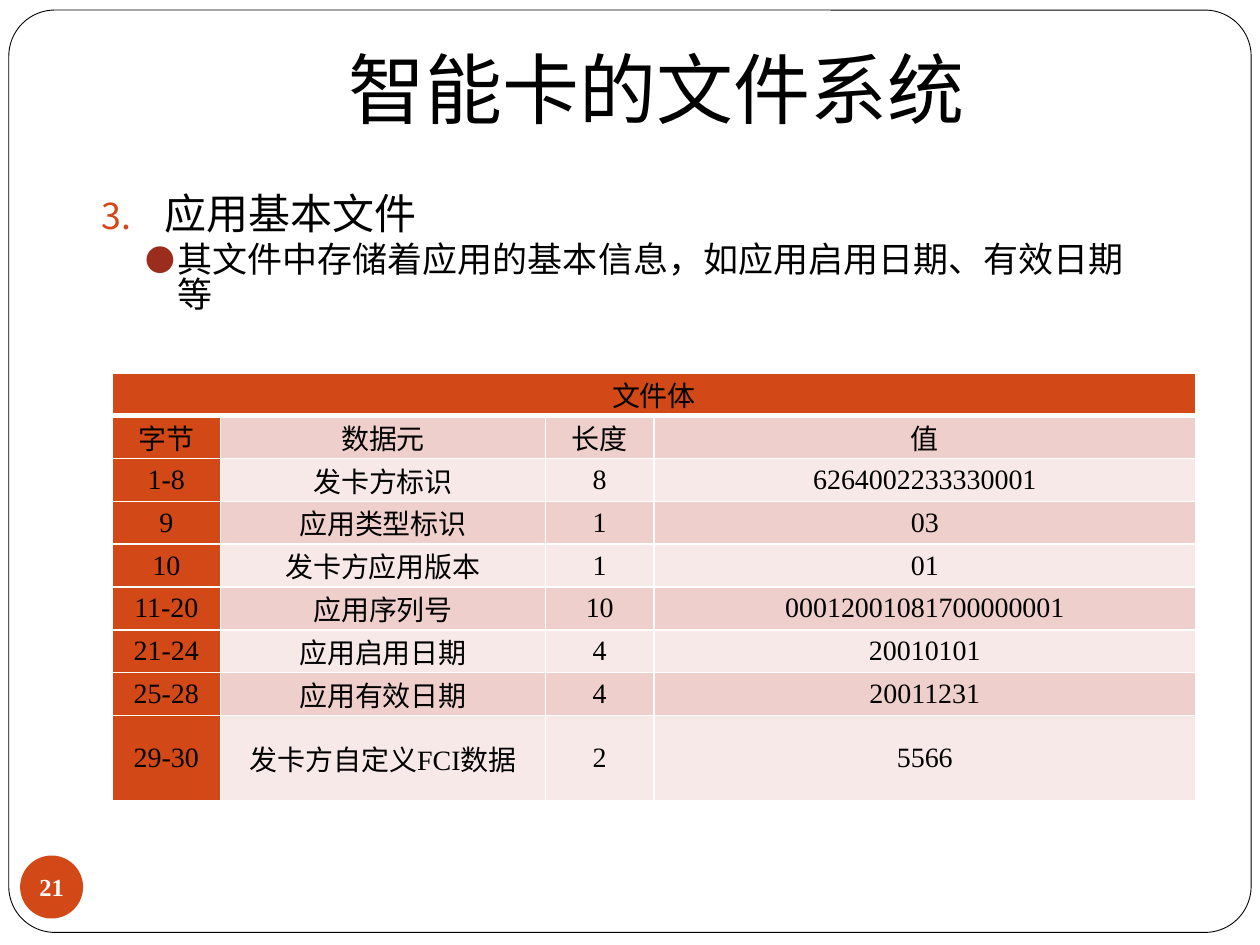
from lxml.etree import SubElement
from pptx import Presentation
from pptx.dml.color import RGBColor
from pptx.enum.shapes import MSO_SHAPE
from pptx.enum.text import MSO_ANCHOR, MSO_AUTO_SIZE, PP_ALIGN
from pptx.oxml.ns import qn
from pptx.util import Inches, Pt

SANS = "Noto Sans CJK SC"
SERIF = "Times New Roman"
ORANGE, RED, WHITE, BLACK = "D34817", "9B2D1F", "FFFFFF", "000000"
BANDS = ["EFCFCC", "F7E9E8"]
COLUMN_WIDTHS = [0.86, 2.58, 0.86, 4.3]
ROW_HEIGHTS = [0.34] * 8 + [0.68]
FILE_BODY = [
    ["文件体", "", "", ""],
    ["字节", "数据元", "长度", "值"],
    ["1-8", "发卡方标识", "8", "6264002233330001"],
    ["9", "应用类型标识", "1", "03"],
    ["10", "发卡方应用版本", "1", "01"],
    ["11-20", "应用序列号", "10", "00012001081700000001"],
    ["21-24", "应用启用日期", "4", "20010101"],
    ["25-28", "应用有效日期", "4", "20011231"],
    ["29-30", "发卡方自定义FCI数据", "2", "5566"],
]


def color(value):
    return RGBColor.from_string(value)


def fill(target, value):
    target.fill.solid()
    target.fill.fore_color.rgb = color(value)


def apply(target, formats):
    for name, value in formats.items():
        setattr(target, name, value)


def box(left, top, width, height):
    return [Inches(length) for length in (left, top, width, height)]


def write(paragraph, text, size, font=SANS, ink=BLACK, bold=False, **formats):
    apply(paragraph, formats)
    run = paragraph.add_run()
    run.text = text
    apply(run.font, {"size": Pt(size), "name": font, "bold": bold})
    run.font.color.rgb = color(ink)
    SubElement(run.font._element, qn("a:ea"), typeface=SANS)


def add_panel(slide, preset, place, background):
    panel = slide.shapes.add_shape(preset, *box(*place))
    panel.shadow.inherit = False
    fill(panel, background)
    return panel


def add_frame(slide):
    frame = add_panel(slide, MSO_SHAPE.ROUNDED_RECTANGLE, (0.07, 0.08, 9.86, 7.32), WHITE)
    frame.adjustments[0] = 0.05
    frame.line.color.rgb = color(BLACK)
    frame.line.width = Pt(0.5)


def add_page_number(slide):
    badge = add_panel(slide, MSO_SHAPE.OVAL, (0.16, 6.79, 0.5, 0.5), ORANGE)
    badge.line.fill.background()
    apply(badge.text_frame, {
        "margin_left": 0, "margin_right": 0, "margin_top": 0, "margin_bottom": 0,
        "word_wrap": False, "vertical_anchor": MSO_ANCHOR.MIDDLE,
    })
    write(badge.text_frame.paragraphs[0], "21", 14, SERIF, WHITE, True,
          alignment=PP_ALIGN.CENTER)


def add_text(slide, place, **formats):
    text = slide.shapes.add_textbox(*box(*place)).text_frame
    apply(text, {"word_wrap": True, **formats})
    return text


def add_bullet(paragraph, margin, indent, ink, kind, **marker):
    properties = paragraph._p.get_or_add_pPr()
    properties.set("marL", str(Inches(margin)))
    properties.set("indent", str(Inches(indent)))
    bullet_color = SubElement(properties, qn("a:buClr"))
    SubElement(bullet_color, qn("a:srgbClr"), val=ink)
    SubElement(properties, qn("a:buSzPct"), val="85000")
    SubElement(properties, qn("a:buFont"), typeface=SANS)
    SubElement(properties, qn(kind), **marker)


def add_outline(slide):
    outline = add_text(slide, (0.71, 1.51, 8.5, 5))
    heading = outline.paragraphs[0]
    write(heading, "应用基本文件", 24, space_before=Pt(5.8), line_spacing=0.83)
    add_bullet(heading, 0.5, -0.5, ORANGE, "a:buAutoNum", type="arabicPeriod", startAt="3")
    detail = outline.add_paragraph()
    write(detail, "其文件中存储着应用的基本信息，如应用启用日期、有效日期等", 20,
          level=1, space_before=Pt(3.8), line_spacing=0.83)
    add_bullet(detail, 0.6, -0.25, RED, "a:buChar", char="●")


def add_borders(cell, widths):
    properties = cell._tc.get_or_add_tcPr()
    for side, width in widths.items():
        border = SubElement(properties, qn(f"a:ln{side}"), w=str(Pt(width)))
        SubElement(SubElement(border, qn("a:solidFill")), qn("a:srgbClr"), val=WHITE)


def add_file_table(slide):
    place = box(0.89, 2.96, sum(COLUMN_WIDTHS), sum(ROW_HEIGHTS))
    table = slide.shapes.add_table(len(ROW_HEIGHTS), len(COLUMN_WIDTHS), *place).table
    for column, width in zip(table.columns, COLUMN_WIDTHS):
        column.width = Inches(width)
    for row, height in zip(table.rows, ROW_HEIGHTS):
        row.height = Inches(height)
    table.cell(0, 0).merge(table.cell(0, len(COLUMN_WIDTHS) - 1))
    for r, values in enumerate(FILE_BODY):
        for c, value in enumerate(values):
            cell = table.cell(r, c)
            apply(cell, {
                "margin_left": Inches(0.07), "margin_right": Inches(0.07),
                "margin_top": 0, "margin_bottom": 0,
                "vertical_anchor": MSO_ANCHOR.MIDDLE,
            })
            add_borders(cell, {"L": 1, "R": 1, "T": 3 if r == 1 else 1, "B": 3 if r == 0 else 1})
            fill(cell, ORANGE if r == 0 or c == 0 else BANDS[(r - 1) % 2])
            if value:
                write(cell.text_frame.paragraphs[0], value, 16, SERIF,
                      alignment=PP_ALIGN.CENTER)


def main():
    deck = Presentation()
    deck.slide_width, deck.slide_height = Inches(10), Inches(7.5)
    slide = deck.slides.add_slide(deck.slide_layouts[6])
    add_frame(slide)
    add_page_number(slide)
    title = add_text(slide, (1.46, 0.28, 7.51, 0.84), vertical_anchor=MSO_ANCHOR.MIDDLE,
                     auto_size=MSO_AUTO_SIZE.SHAPE_TO_FIT_TEXT)
    write(title.paragraphs[0], "智能卡的文件系统", 44, alignment=PP_ALIGN.CENTER)
    add_outline(slide)
    add_file_table(slide)
    deck.save("out.pptx")


if __name__ == "__main__":
    main()
